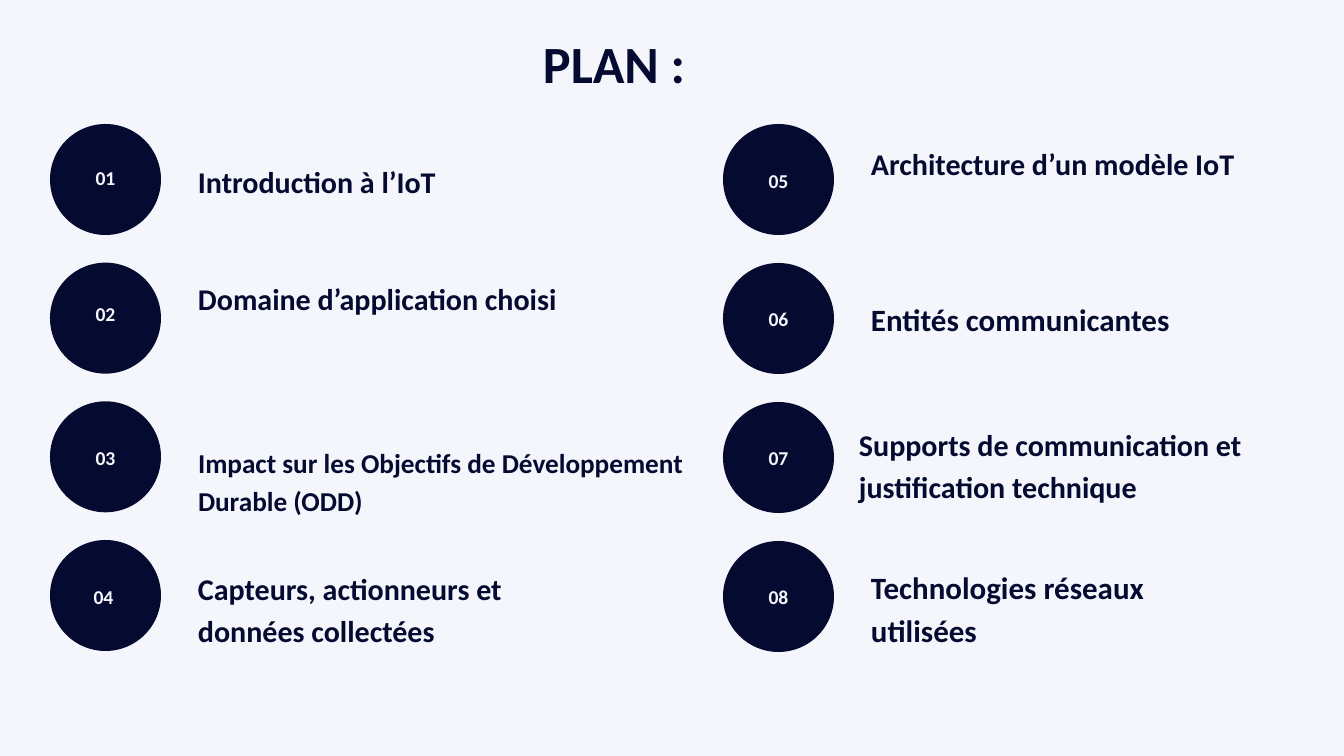
from pptx import Presentation
from pptx.dml.color import RGBColor
from pptx.enum.shapes import MSO_SHAPE as Shape
from pptx.enum.text import MSO_AUTO_SIZE as AutoSize, PP_ALIGN as Align
from pptx.util import Pt

NAVY = RGBColor(0x05, 0x0A, 0x30)
PALE = RGBColor(0xF4, 0xF6, 0xFC)
FONT = "Calibri"
LEADING = 1.4
PX = 914400 / 67.2

TITLE = "PLAN :"

# Per column: circle left, topic left, distance from first to last circle, topics.
# Per topic: number, nudge and top of number, wording, size, nudge, top, width, height
COLUMNS = [
    (50, 198, 416, [
        ("01", 0, 162, "Introduction à l’IoT", 32.2, 0, 157, 364, 41),
        ("02", 0, 298, "Domaine d’application choisi", 32.2, 0, 274, 364, 83),
        ("03", 0, 442, "Impact sur les Objectifs de Développement Durable (ODD)",
         29.2, 0, 441, 488, 112),
        ("04", -2, 581, "Capteurs, actionneurs et données collectées",
         32.2, 0, 564, 364, 83),
    ]),
    (723, 871, 417, [
        ("05", 0, 165, "Architecture d’un modèle IoT", 32.2, 0, 139, 364, 83),
        ("06", 0, 303, "Entités communicantes", 33.2, 0, 294, 327, 43),
        ("07", 0, 442, "Supports de communication et justification technique",
         32.2, -12, 420, 513, 83),
        ("08", 0, 581, "Technologies réseaux utilisées", 33.2, 0, 562, 364, 86),
    ]),
]
FIRST_TOP, DIAMETER = 124, 111
NUMBER_WIDTH, NUMBER_HEIGHT = 56, 27


def px(*lengths):
    return [round(length * PX) for length in lengths]


def add_text(slide, box, wording, size, color, align=Align.LEFT):
    frame = slide.shapes.add_textbox(*px(*box)).text_frame
    frame.margin_left = frame.margin_right = 0
    frame.margin_top = frame.margin_bottom = 0
    frame.word_wrap = True
    frame.auto_size = AutoSize.SHAPE_TO_FIT_TEXT
    line = frame.paragraphs[0]
    line.text = wording
    line.alignment = align
    line.line_spacing = Pt(round(size * LEADING, 1))
    line.font.name = FONT
    line.font.size = Pt(size)
    line.font.bold = True
    line.font.color.rgb = color


def add_circle(slide, left, top):
    circle = slide.shapes.add_shape(Shape.OVAL, *px(left, top, DIAMETER, DIAMETER))
    circle.shadow.inherit = False
    circle.fill.solid()
    circle.fill.fore_color.rgb = NAVY
    circle.line.fill.background()


def main():
    deck = Presentation()
    deck.slide_width, deck.slide_height = px(1344, 756)
    slide = deck.slides.add_slide(deck.slide_layouts[6])
    slide.background.fill.solid()
    slide.background.fill.fore_color.rgb = PALE

    # Title
    add_text(slide, (543, 21, 180, 71), TITLE, 56, NAVY)

    # Numbered topics in two columns
    for circle_left, topic_left, span, topics in COLUMNS:
        number_left = circle_left + (DIAMETER - NUMBER_WIDTH) / 2
        pitch = span / (len(topics) - 1)
        for row, topic in enumerate(topics):
            number, number_dx, number_top, wording, size, dx, top, width, height = topic
            add_circle(slide, circle_left, FIRST_TOP + row * pitch)
            add_text(slide,
                     (number_left + number_dx, number_top, NUMBER_WIDTH, NUMBER_HEIGHT),
                     number, 21, PALE, Align.CENTER)
            add_text(slide, (topic_left + dx, top, width, height), wording, size, NAVY)

    deck.save("out.pptx")


if __name__ == "__main__":
    main()
